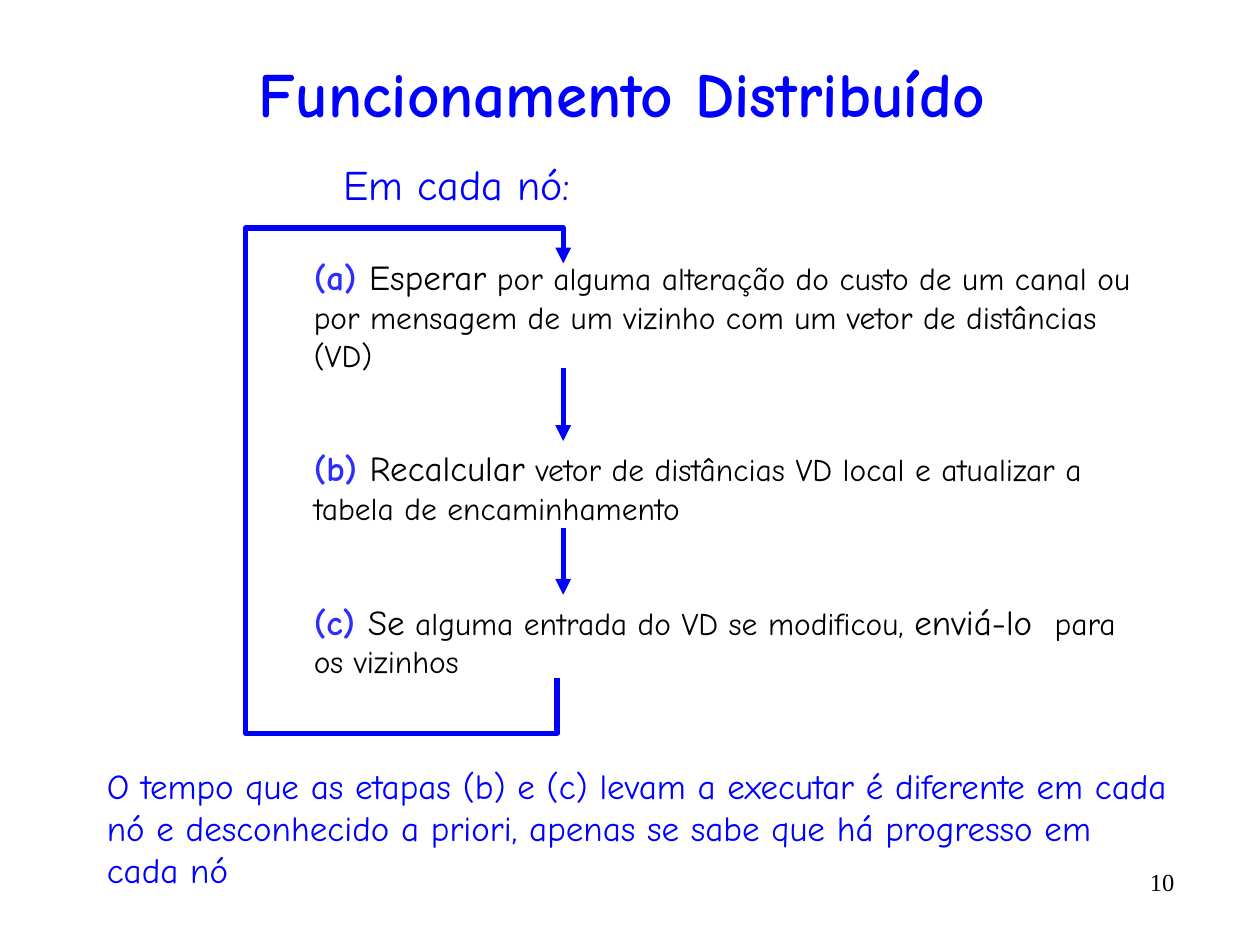
from pptx import Presentation
from pptx.dml.color import RGBColor
from pptx.enum.shapes import MSO_CONNECTOR as CONN
from pptx.enum.text import MSO_ANCHOR as ANCHOR, MSO_AUTO_SIZE as FIT, PP_ALIGN as ALIGN
from pptx.oxml.ns import qn
from pptx.util import Inches, Pt
from lxml.etree import SubElement

BLUE = RGBColor(0x00, 0x00, 0xFF)
MARK = RGBColor(0x2D, 0x2D, 0xFF)
BLACK = RGBColor(0x00, 0x00, 0x00)
FONT = "Comic Neue"


def put(para, text, size, color, bold=False, font=FONT):
    """Add one formatted run to the paragraph."""
    run = para.add_run()
    run.text = text
    run.font.name = font
    run.font.size = Pt(size)
    run.font.bold = bold
    run.font.color.rgb = color


def arrow(shape):
    """Give a line its blue stroke and end arrowhead, without shadow."""
    shape.line.color.rgb = BLUE
    shape.line.width = Pt(3)
    props = shape._element.spPr
    SubElement(props.find(qn("a:ln")), qn("a:tailEnd"), type="triangle")
    SubElement(props, qn("a:effectLst"))


prs = Presentation()
prs.slide_width, prs.slide_height = Inches(10), Inches(7.5)
slide = prs.slides.add_slide(prs.slide_layouts[1])
shapes = slide.shapes

# Title
title = shapes.title
title.left, title.top = Inches(0.35), Inches(0.21)
title.width, title.height = Inches(9.17), Inches(1.05)
frame = title.text_frame
frame.auto_size = FIT.NONE
frame.vertical_anchor = ANCHOR.MIDDLE
frame.paragraphs[0].alignment = ALIGN.CENTER
put(frame.paragraphs[0], "Funcionamento Distribuído", 36, BLUE, True)

# Steps of the loop
steps = [
    ("(a) ", [("Esperar", 20),
              (" por alguma alteração do custo de um canal ou por mensagem "
               "de um vizinho com um vetor de distâncias (VD)", 18)]),
    ("(b) ", [("Recalcular", 20),
              (" vetor de distâncias VD local e atualizar a tabela de "
               "encaminhamento", 18)]),
    ("(c) ", [("Se", 20), (" alguma entrada do VD se modificou, ", 18),
              ("enviá-lo ", 20), (" para os vizinhos", 18)]),
]
body = slide.placeholders[1]
body.left, body.top = Inches(2.39), Inches(1.98)
body.width, body.height = Inches(6.86), Inches(4.04)
frame = body.text_frame
frame.auto_size = FIT.NONE
for i, (mark, parts) in enumerate(steps):
    para = frame.add_paragraph() if i else frame.paragraphs[0]
    para.space_before = Pt(42 if i else 0)
    props = para._p.get_or_add_pPr()
    props.set("marL", "0")
    props.set("indent", "0")
    SubElement(props, qn("a:buNone"))
    put(para, mark, 20, MARK, True)
    for text, size in parts:
        put(para, text, size, BLACK)

# Loop back to the first step
points = [(4.42, 5.38), (4.42, 5.82), (1.95, 5.82),
          (1.95, 1.81), (4.47, 1.81), (4.47, 2.09)]
points = [(Inches(x), Inches(y)) for x, y in points]
path = shapes.build_freeform(*points[0])
path.add_line_segments(points[1:], close=False)
loop = path.convert_to_shape()
loop.fill.background()
arrow(loop)

# Arrows between steps
for top, end in [(2.92, 3.5), (4.19, 4.72)]:
    arrow(shapes.add_connector(CONN.STRAIGHT, Inches(4.47), Inches(top),
                               Inches(4.47), Inches(end)))

# Heading, closing remark and page number
notes = [
    (2.6, 1.21, 2.05, 0.5, "Em cada nó:", 24, BLUE, FONT, ALIGN.CENTER),
    (0.75, 6.02, 8.66, 1.11,
     "O tempo que as etapas (b) e (c) levam a executar é diferente em cada nó "
     "e desconhecido a priori, apenas se sabe que há progresso em cada nó",
     20, BLUE, FONT, ALIGN.LEFT),
    (8.42, 6.83, 1, 0.42, "10", 14, BLACK, "Times New Roman", ALIGN.RIGHT),
]
for x, y, w, h, text, size, color, font, align in notes:
    box = shapes.add_textbox(Inches(x), Inches(y), Inches(w), Inches(h))
    box.text_frame.word_wrap = True
    para = box.text_frame.paragraphs[0]
    para.alignment = align
    put(para, text, size, color, font=font)

prs.save("out.pptx")
